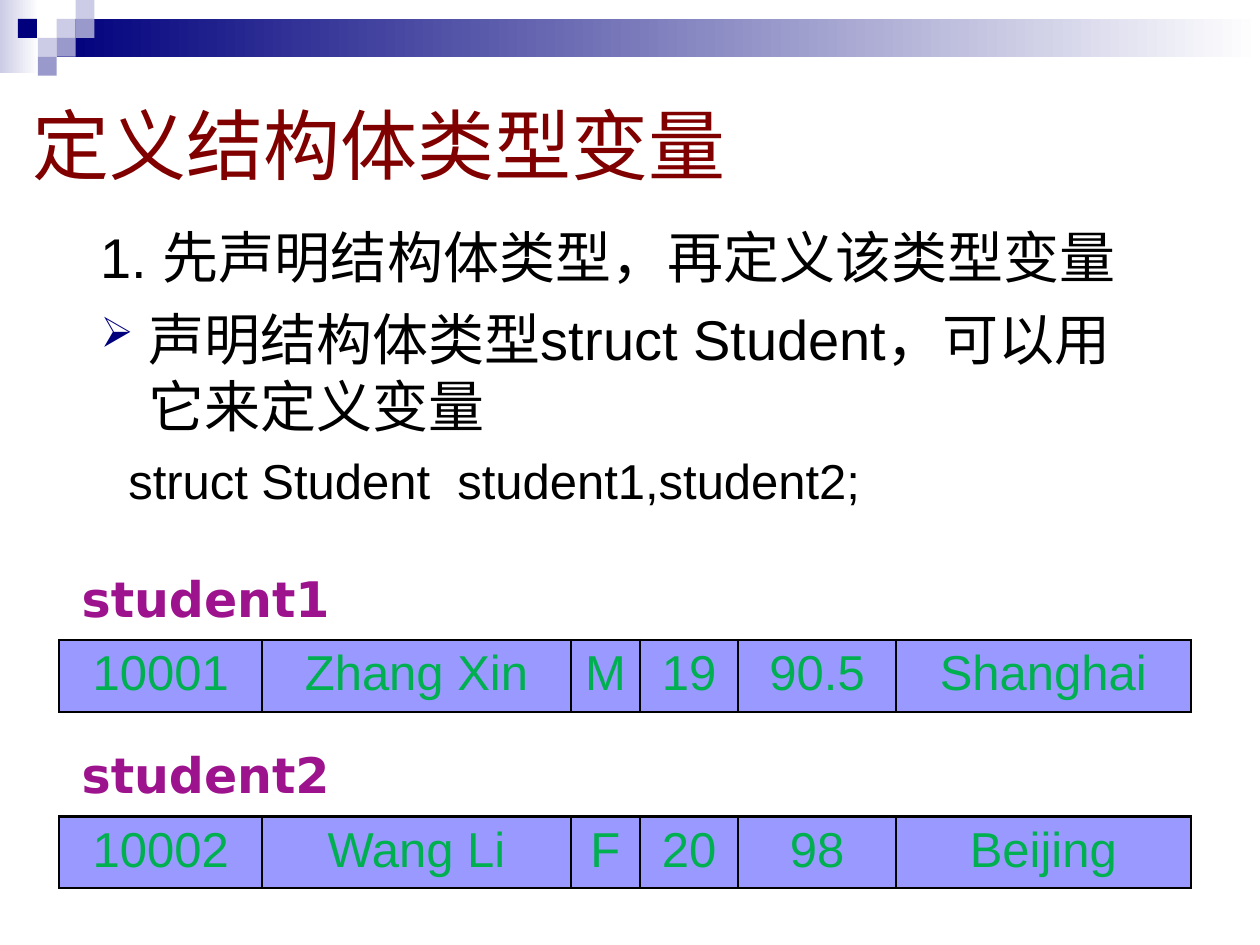
from lxml.etree import SubElement
from pptx import Presentation
from pptx.dml.color import RGBColor
from pptx.enum.shapes import MSO_SHAPE as SHAPE
from pptx.enum.text import MSO_ANCHOR as ANCHOR, PP_ALIGN as ALIGN
from pptx.oxml import parse_xml
from pptx.oxml.ns import nsdecls, qn
from pptx.util import Inches, Pt

NAVY, LILAC, VIOLET = "00007D", "CCCCE6", "9999CC"
COLUMNS = [1.61, 2.45, 0.55, 0.78, 1.25, 2.34]
STUDENTS = [
    ("student1", ["10001", "Zhang Xin", "M", "19", "90.5", "Shanghai"]),
    ("student2", ["10002", "Wang Li", "F", "20", "98", "Beijing"]),
]


def rgb(value):
    """Turn a hex string into a colour."""
    return RGBColor.from_string(value)


def style(p, size, color, font="Arial", bold=False):
    """Format every run of a paragraph."""
    for r in p.runs:
        r.font.size = Pt(size)
        r.font.name = font
        r.font.bold = bold
        r.font.color.rgb = rgb(color)


def add_text(s, x, y, w, h, lines, anchor=ANCHOR.TOP):
    """Add a wrapping text box and return its paragraphs."""
    tf = s.shapes.add_textbox(Inches(x), Inches(y), Inches(w), Inches(h)).text_frame
    tf.word_wrap = True
    tf.vertical_anchor = anchor
    tf.text = "\n".join(lines)
    return tf.paragraphs


def add_rect(s, x, y, w, h, color, fade=False):
    """Add a borderless rectangle, solid or fading to white rightwards."""
    sp = s.shapes.add_shape(SHAPE.RECTANGLE, Inches(x), Inches(y), Inches(w), Inches(h))
    sp.shadow.inherit = False
    sp.line.fill.background()
    if fade:
        sp.fill.gradient()
        sp.fill.gradient_angle = 0
        for stop, shade, position in zip(sp.fill.gradient_stops, (color, "FFFFFF"), (0, 1)):
            stop.color.rgb = rgb(shade)
            stop.position = position
    else:
        sp.fill.solid()
        sp.fill.fore_color.rgb = rgb(color)


def add_banner(s, x, y, w):
    """Draw the fading bar and its mosaic of squares."""
    unit = 0.15
    add_rect(s, x, y, 0.31, 0.58, LILAC, fade=True)
    add_rect(s, x + 3 * unit, y + unit, w - 3 * unit, 2 * unit, NAVY, fade=True)
    squares = [(3, 1, LILAC), (4, 0, LILAC), (4, 1, VIOLET), (2, 2, LILAC),
               (0.95, 1, NAVY), (3, 2, VIOLET), (2, 3, VIOLET)]
    for col, row, color in squares:
        add_rect(s, x + col * unit, y + row * unit, unit, unit, color)


def add_title(s, x, y, w, h):
    """Add the slide title."""
    style(add_text(s, x, y, w, h, ["定义结构体类型变量"], ANCHOR.MIDDLE)[0], 44, "800000")


def add_body(s, x, y, w, h):
    """Add the numbered heading, the bullet and the line of code."""
    heading, bullet, code = add_text(s, x, y, w, h, [
        "1. 先声明结构体类型，再定义该类型变量",
        "声明结构体类型struct Student，可以用它来定义变量",
        "struct Student  student1,student2;",
    ])
    settings = [(heading, 32, 8, 0.38, -0.38), (bullet, 32, 8, 0.38, -0.38),
                (code, 28, 7, 0.22, 0)]
    for p, size, before, margin, indent in settings:
        style(p, size, "000000")
        p.space_before = Pt(before)
        pPr = p._p.get_or_add_pPr()
        pPr.set("marL", str(Inches(margin)))
        pPr.set("indent", str(Inches(indent)))
    pPr = bullet._p.get_or_add_pPr()
    SubElement(SubElement(pPr, qn("a:buClr")), qn("a:srgbClr")).set("val", NAVY)
    SubElement(pPr, qn("a:buSzPct")).set("val", "75000")
    SubElement(pPr, qn("a:buChar")).set("char", "➢")


def add_borders(cell, color, width):
    """Put a solid line on all four sides of a cell."""
    tcPr = cell._tc.get_or_add_tcPr()
    for i, side in enumerate(("lnL", "lnR", "lnT", "lnB")):
        tcPr.insert(i, parse_xml(
            f'<a:{side} {nsdecls("a")} w="{Pt(width)}"><a:solidFill>'
            f'<a:srgbClr val="{color}"/></a:solidFill></a:{side}>'))


def add_record(s, x, y, name, values):
    """Add a variable name above the one-row table of its members."""
    label = add_text(s, x + 0.08, y, 2.34, 0.57, [name])[0]
    style(label, 28, "9D138D", "DejaVu Sans", True)
    table = s.shapes.add_table(1, len(values), Inches(x), Inches(y + 0.62),
                               Inches(sum(COLUMNS)), Inches(0.57)).table
    table.first_row = table.horz_banding = False
    for column, width, cell, value in zip(table.columns, COLUMNS, table.rows[0].cells, values):
        column.width = Inches(width)
        cell.fill.solid()
        cell.fill.fore_color.rgb = rgb("9999FF")
        add_borders(cell, "000000", 1.47)
        cell.text = value
        p = cell.text_frame.paragraphs[0]
        p.alignment = ALIGN.CENTER
        style(p, 28, "00B050")


def main():
    """Build and save the slide."""
    prs = Presentation()
    prs.slide_width, prs.slide_height = Inches(10), Inches(7.5)
    s = prs.slides.add_slide(prs.slide_layouts[6])
    add_banner(s, 0, 0, 10)
    add_title(s, 0.16, 0.72, 9.69, 0.84)
    add_body(s, 0.7, 1.72, 8.59, 3.67)
    for i, (name, values) in enumerate(STUDENTS):
        add_record(s, 0.47, 4.46 + 1.4 * i, name, values)
    prs.save("out.pptx")


if __name__ == "__main__":
    main()
